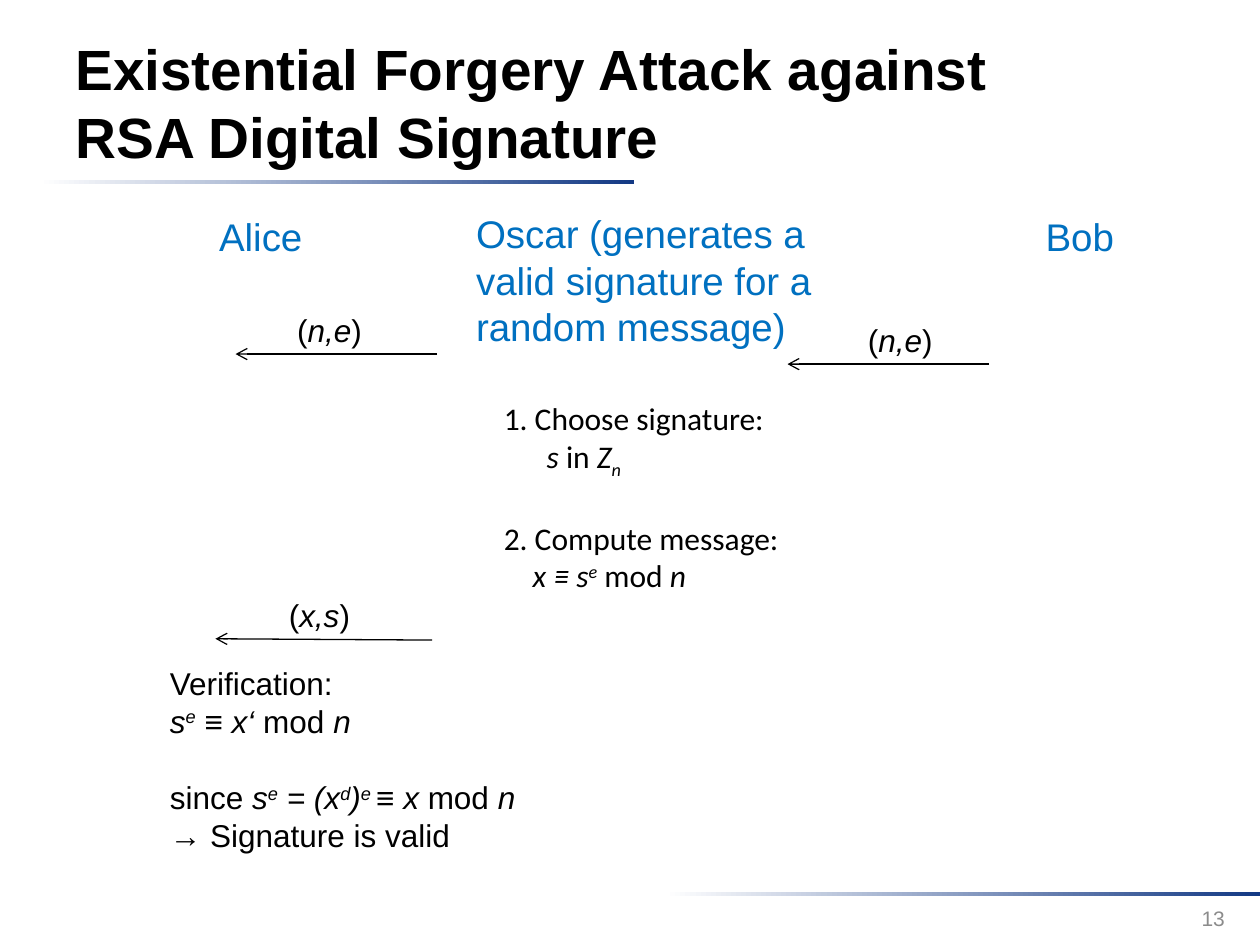
from dataclasses import dataclass

from pptx import Presentation
from pptx.dml.color import RGBColor
from pptx.enum.shapes import MSO_CONNECTOR, MSO_SHAPE
from pptx.enum.text import MSO_ANCHOR, MSO_AUTO_SIZE, PP_ALIGN
from pptx.oxml.ns import qn
from pptx.util import Emu, Pt
from lxml import etree

PX = 9144  # 100 px to the inch
LEFT, CENTER, RIGHT = PP_ALIGN.LEFT, PP_ALIGN.CENTER, PP_ALIGN.RIGHT
TOP, MIDDLE = MSO_ANCHOR.TOP, MSO_ANCHOR.MIDDLE
GROW, FIXED = MSO_AUTO_SIZE.SHAPE_TO_FIT_TEXT, MSO_AUTO_SIZE.NONE
RECTANGLE, STRAIGHT = MSO_SHAPE.RECTANGLE, MSO_CONNECTOR.STRAIGHT

COLORS = {"white": "FFFFFF", "navy": "133984", "black": "000000",
          "party": "0070C0", "number": "8C8C8C"}
FONTS = {
    "title": {"name": "Arial", "size": Pt(32.4), "bold": True},
    "party": {"name": "Arial", "size": Pt(22)},
    "body": {"name": "Arial", "size": Pt(18)},
    "steps": {"name": "Calibri", "size": Pt(18)},
    "number": {"name": "Arial", "size": Pt(12)},
}
BASELINES = {"sup": "30000", "sub": "-25000"}


@dataclass(frozen=True)
class Run:
    text: str
    italic: bool = False
    shift: str = ""


@dataclass(frozen=True)
class Line:
    runs: tuple[Run, ...]
    before: int = 0  # points
    indent: int = 0  # px


@dataclass(frozen=True)
class Box:
    at: tuple[int, int, int, int]
    lines: tuple[Line, ...]
    font: str = "body"
    color: str = "black"
    align: PP_ALIGN = LEFT
    anchor: MSO_ANCHOR = TOP
    size: MSO_AUTO_SIZE = GROW


@dataclass(frozen=True)
class Message:
    """An arrow pointing left, with the label of what is sent above it."""
    start: tuple[int, int]
    end: tuple[int, int]
    label_at: tuple[int, int]
    content: str


def var(text: str) -> Run:
    return Run(text, italic=True)


def sup(text: str) -> Run:
    return Run(text, italic=True, shift="sup")


def sub(text: str) -> Run:
    return Run(text, italic=True, shift="sub")


def plain(text: str) -> tuple[Line, ...]:
    return (Line((Run(text),)),)


def rgb(name: str) -> RGBColor:
    return RGBColor.from_string(COLORS[name])


def emu(lengths: tuple[int, ...]) -> list[Emu]:
    return [Emu(length * PX) for length in lengths]


def draw_rule(slide, at: tuple[int, int, int, int]) -> None:
    """Bar that fades in from white on the left."""
    rule = slide.shapes.add_shape(RECTANGLE, *emu(at))
    rule.shadow.inherit = False
    rule.line.fill.background()
    rule.fill.gradient()
    rule.fill.gradient_angle = 0
    for stop, color in zip(rule.fill.gradient_stops, ("white", "navy")):
        stop.color.rgb = rgb(color)


def draw_box(slide, box: Box) -> None:
    frame = slide.shapes.add_textbox(*emu(box.at)).text_frame
    frame_format = {"word_wrap": True, "auto_size": box.size,
                    "vertical_anchor": box.anchor}
    for key, value in frame_format.items():
        setattr(frame, key, value)
    for number, line in enumerate(box.lines):
        paragraph = frame.add_paragraph() if number else frame.paragraphs[0]
        paragraph.alignment = box.align
        if line.before:
            paragraph.space_before = Pt(line.before)
        if line.indent:
            paragraph._p.get_or_add_pPr().set("marL", str(line.indent * PX))
        for part in line.runs:
            run = paragraph.add_run()
            run.text = part.text
            for key, value in (FONTS[box.font] | {"italic": part.italic}).items():
                setattr(run.font, key, value)
            run.font.color.rgb = rgb(box.color)
            if part.shift:
                run._r.get_or_add_rPr().set("baseline", BASELINES[part.shift])


def draw_message(slide, message: Message) -> None:
    arrow = slide.shapes.add_connector(STRAIGHT, *emu(message.start + message.end))
    arrow.line.width = Pt(0.75)
    arrow.line.color.rgb = rgb("black")
    etree.SubElement(arrow.line._get_or_add_ln(), qn("a:tailEnd"), type="arrow")
    etree.SubElement(arrow._element.spPr, qn("a:effectLst"))
    label = Line((Run("("), var(message.content), Run(")")))
    draw_box(slide, Box((*message.label_at, 195, 40), (label,), align=CENTER))


RULES = ((31, 143, 472, 3), (528, 708, 472, 3))

STEPS = (
    Line((Run("1. Choose signature:"),)),
    Line((var("s "), Run("in "), var("Z"), sub("n")), indent=34),
    Line((Run("2. Compute message:"),), before=22),
    Line((var("x ≡ s"), sup("e"), Run(" mod "), var("n")), indent=23),
)
VERIFICATION = (
    Line((Run("Verification:"),)),
    Line((var("s"), sup("e"), var(" ≡ x‘"), Run(" mod "), var("n"))),
    Line((Run("since "), var("s"), sup("e"), var(" = (x"), sup("d"), var(")"),
          sup("e "), var("≡ x "), Run("mod "), var("n")), before=22),
    Line((Run("→ Signature is valid"),)),
)
BOXES = (
    Box((50, 18, 773, 125),
        plain("Existential Forgery Attack against RSA Digital Signature"),
        "title", anchor=MIDDLE, size=FIXED),
    Box((749, 709, 233, 40), plain("13"), "number", "number", RIGHT, MIDDLE, FIXED),
    Box((164, 164, 102, 47), plain("Alice"), "party", "party"),
    Box((368, 162, 299, 121),
        plain("Oscar (generates a valid signature for a random message)"),
        "party", "party"),
    Box((820, 164, 203, 47), plain("Bob"), "party", "party"),
    Box((390, 312, 273, 182), STEPS, "steps"),
    Box((125, 522, 359, 162), VERIFICATION),
)
MESSAGES = (
    Message((785, 289), (625, 289), (617, 250), "n,e"),
    Message((347, 281), (187, 281), (164, 242), "n,e"),
    Message((343, 508), (171, 507), (156, 468), "x,s"),
)


def main() -> None:
    deck = Presentation()
    deck.slide_width, deck.slide_height = emu((1000, 750))
    slide = deck.slides.add_slide(deck.slide_layouts[6])
    for rule in RULES:
        draw_rule(slide, rule)
    for box in BOXES:
        draw_box(slide, box)
    for message in MESSAGES:
        draw_message(slide, message)
    deck.save("out.pptx")


if __name__ == "__main__":
    main()
